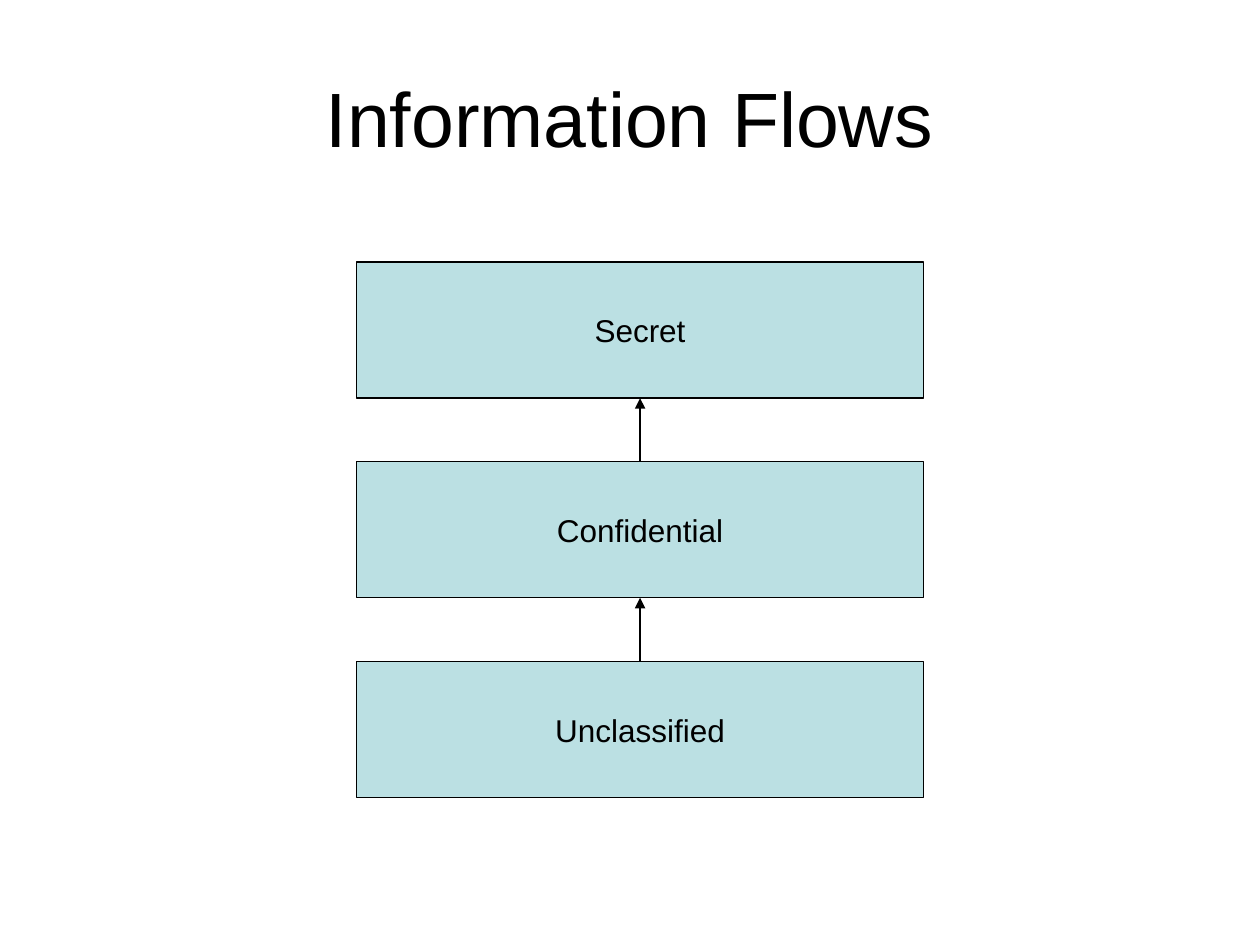
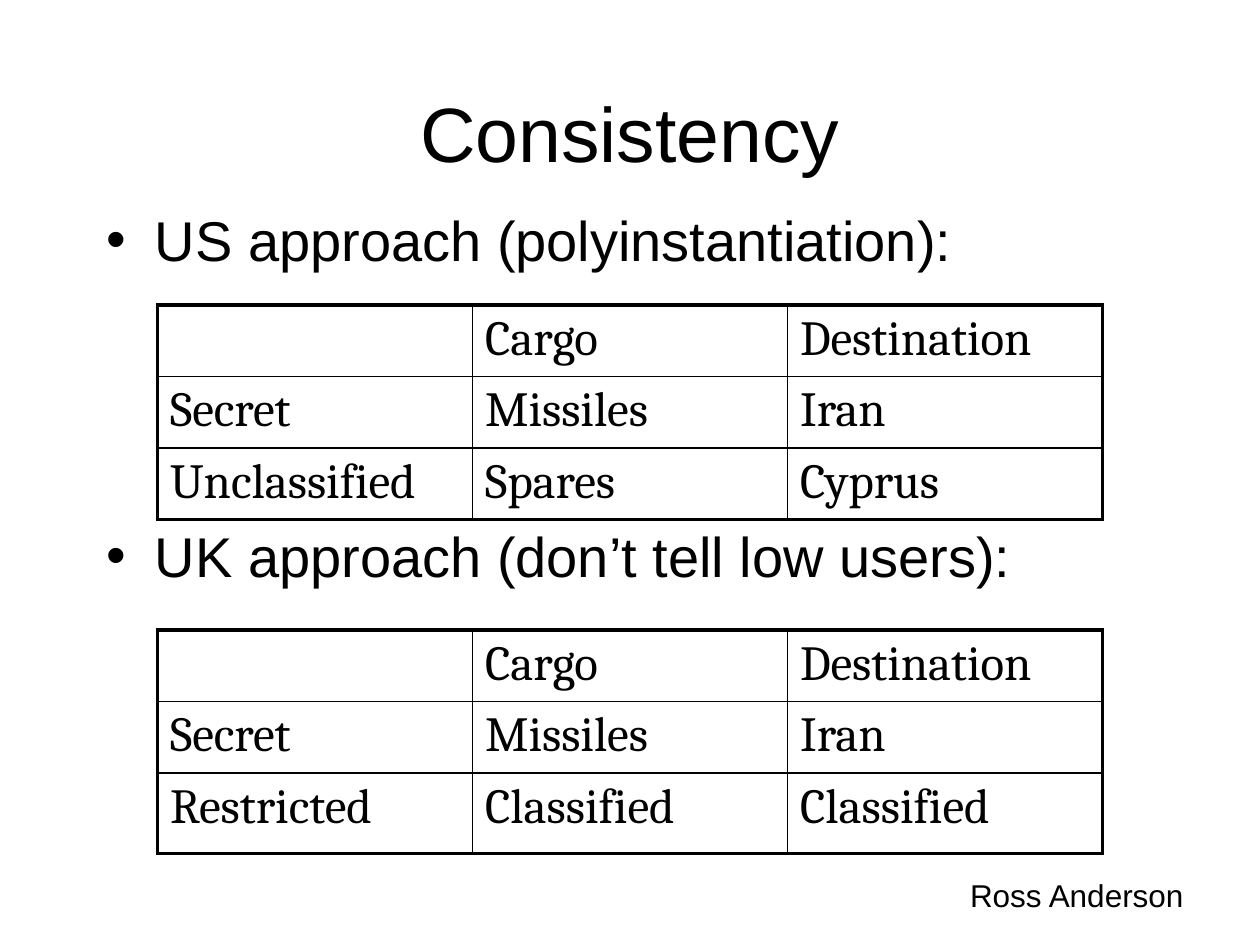
from dataclasses import dataclass

from lxml.etree import SubElement
from pptx import Presentation
from pptx.dml.color import RGBColor
from pptx.enum.shapes import MSO_CONNECTOR as CONN, MSO_SHAPE as SHAPE
from pptx.enum.text import MSO_ANCHOR as ANCHOR, PP_ALIGN as ALIGN
from pptx.oxml import parse_xml
from pptx.oxml.ns import nsdecls, qn
from pptx.util import Inches, Pt


@dataclass(frozen=True)
class Theme:
    ink: str = "000000"
    box: str = "BBE0E3"
    sans: str = "Arial"
    serif: str = "Cambria"
    title: float = 44
    bullet: float = 32
    cell: float = 28
    label: float = 18
    line: float = 0.75
    grid: float = 1
    frame: float = 2.25


THEME = Theme()


def write(tf, text, size=THEME.label, font=THEME.sans, align=ALIGN.LEFT,
          anchor=ANCHOR.TOP, wrap=True, before=0, new=False):
    tf.word_wrap = wrap
    tf.vertical_anchor = anchor
    p = tf.add_paragraph() if new else tf.paragraphs[0]
    p.alignment = align
    p.space_before = Pt(before)
    r = p.add_run()
    r.text = text
    r.font.name = font
    r.font.size = Pt(size)
    r.font.color.rgb = RGBColor.from_string(THEME.ink)
    return p


class Deck:
    def __init__(self, theme):
        self.theme = theme
        self.prs = Presentation()
        self.prs.slide_width = Inches(10)
        self.prs.slide_height = Inches(7.5)

    def add_slide(self, title, *at):
        self.slide = self.prs.slides.add_slide(self.prs.slide_layouts[6])
        self.text(title, *at, size=self.theme.title, align=ALIGN.CENTER,
                  anchor=ANCHOR.MIDDLE)

    def text_frame(self, *at):
        return self.slide.shapes.add_textbox(*map(Inches, at)).text_frame

    def text(self, text, *at, **style):
        write(self.text_frame(*at), text, **style)

    def bullets(self, items, *at):
        tf = self.text_frame(*at)
        for i, (text, before) in enumerate(items):
            p = write(tf, text, size=self.theme.bullet, before=before, new=i > 0)
            pPr = p._p.get_or_add_pPr()
            pPr.set("marL", str(Inches(0.38)))
            pPr.set("indent", str(-Inches(0.38)))
            SubElement(pPr, qn("a:buFont"), typeface=self.theme.sans)
            SubElement(pPr, qn("a:buChar"), char="•")

    def box(self, text, *at):
        sp = self.slide.shapes.add_shape(SHAPE.RECTANGLE, *map(Inches, at))
        sp.shadow.inherit = False
        sp.fill.solid()
        sp.fill.fore_color.rgb = RGBColor.from_string(self.theme.box)
        self.stroke(sp.line)
        write(sp.text_frame, text, align=ALIGN.CENTER, anchor=ANCHOR.MIDDLE,
              wrap=False)
        return sp

    def stroke(self, line):
        line.color.rgb = RGBColor.from_string(self.theme.ink)
        line.width = Pt(self.theme.line)

    def arrow_up(self, lower, upper):
        top, bottom = 0, 2
        cxn = self.slide.shapes.add_connector(CONN.STRAIGHT, 0, 0, 0, 0)
        cxn.begin_connect(lower, top)
        cxn.end_connect(upper, bottom)
        self.stroke(cxn.line)
        SubElement(cxn.line._get_or_add_ln(), qn("a:tailEnd"), type="triangle")
        SubElement(cxn._element.spPr, qn("a:effectLst"))

    def table(self, rows, left, top, col_width, heights):
        n_rows, n_cols = len(rows), len(rows[0])
        frame = self.slide.shapes.add_table(
            n_rows, n_cols, Inches(left), Inches(top),
            Inches(col_width * n_cols), Inches(sum(heights)))
        table = frame.table
        table.first_row = table.horz_banding = False
        for column in table.columns:
            column.width = Inches(col_width)
        for i, (row, height) in enumerate(zip(rows, heights)):
            table.rows[i].height = Inches(height)
            for j, text in enumerate(row):
                cell = table.cell(i, j)
                cell.fill.background()
                if text:
                    write(cell.text_frame, text, size=self.theme.cell,
                          font=self.theme.serif)
                self.borders(cell, L=j == 0, R=j == n_cols - 1,
                             T=i == 0, B=i == n_rows - 1)

    def borders(self, cell, **outer):
        tcPr = cell._tc.get_or_add_tcPr()
        for k, (side, is_outer) in enumerate(outer.items()):
            width = Pt(self.theme.frame if is_outer else self.theme.grid)
            tcPr.insert(k, parse_xml(
                f'<a:ln{side} {nsdecls("a")} w="{width}"><a:solidFill>'
                f'<a:srgbClr val="{self.theme.ink}"/></a:solidFill></a:ln{side}>'))


def information_flows(deck):
    deck.add_slide("Information Flows", 0.5, 0.3, 9, 1.25)
    levels = ["Secret", "Confidential", "Unclassified"]
    boxes = [deck.box(level, 2.83, 2.08 + 1.585 * i, 4.5, 1.08)
             for i, level in enumerate(levels)]
    for upper, lower in zip(boxes, boxes[1:]):
        deck.arrow_up(lower, upper)


def consistency(deck):
    deck.add_slide("Consistency", 0.75, 0.67, 8.5, 0.75)
    deck.bullets([("US approach (polyinstantiation):", 4),
                  ("UK approach (don’t tell low users):", 142.5)],
                 0.75, 1.58, 8.5, 5.08)
    shared = [["", "Cargo", "Destination"], ["Secret", "Missiles", "Iran"]]
    deck.table(shared + [["Unclassified", "Spares", "Cyprus"]],
               1.25, 2.42, 2.5, [0.54, 0.54, 0.54])
    deck.table(shared + [["Restricted", "Classified", "Classified"]],
               1.25, 5, 2.5, [0.54, 0.54, 0.64])
    deck.text("Ross Anderson", 7.6, 6.9, 1.91, 0.4, wrap=False)


def main():
    deck = Deck(THEME)
    information_flows(deck)
    consistency(deck)
    deck.prs.save("out.pptx")


if __name__ == "__main__":
    main()
